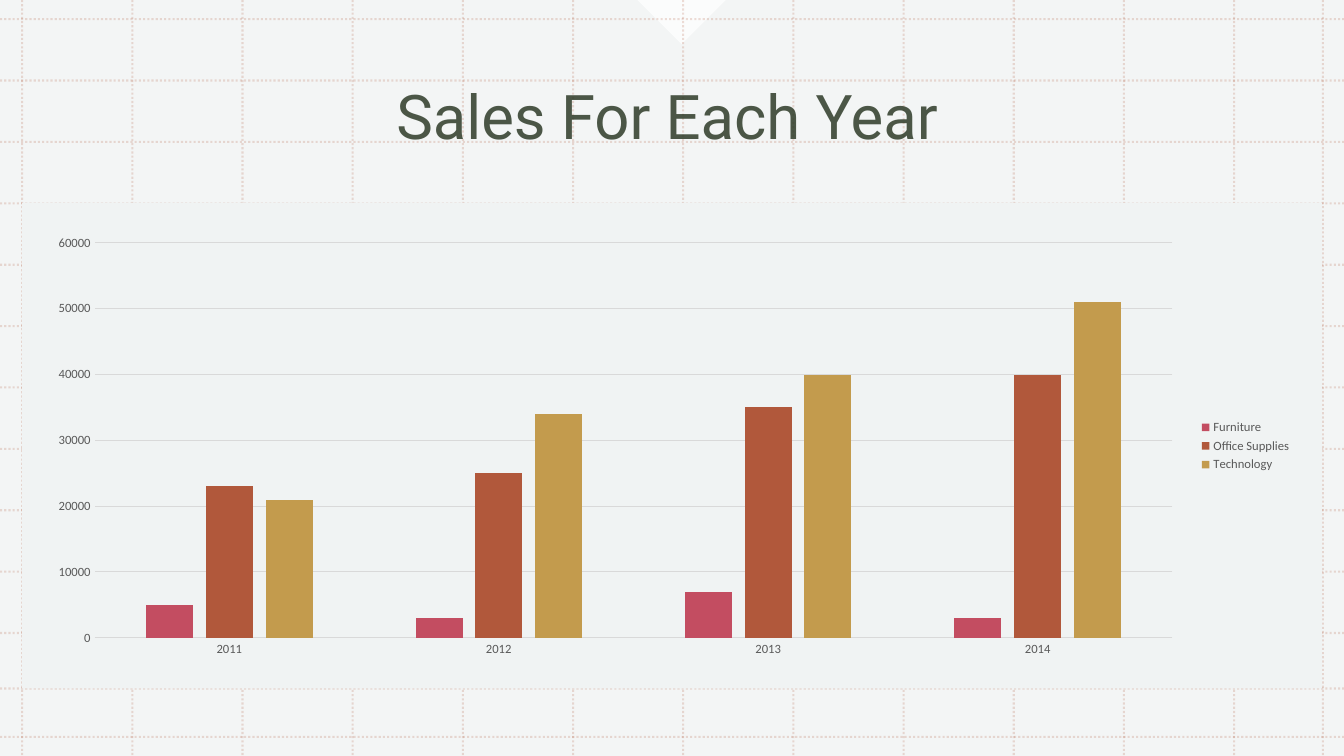
from dataclasses import dataclass

from lxml.etree import SubElement
from pptx import Presentation
from pptx.chart.data import CategoryChartData
from pptx.dml.color import RGBColor
from pptx.enum.chart import XL_CHART_TYPE as ChartType
from pptx.enum.chart import XL_LEGEND_POSITION as LegendPosition
from pptx.enum.chart import XL_TICK_MARK as TickMark
from pptx.enum.dml import MSO_LINE_DASH_STYLE as Dash
from pptx.enum.shapes import MSO_CONNECTOR_TYPE as ConnectorType
from pptx.enum.shapes import MSO_SHAPE as ShapeType
from pptx.enum.text import MSO_ANCHOR as Anchor
from pptx.enum.text import MSO_AUTO_SIZE as AutoSize
from pptx.enum.text import PP_ALIGN as Align
from pptx.oxml.ns import qn
from pptx.util import Inches, Pt

WHITE = RGBColor(0xFF, 0xFF, 0xFF)
MIST = RGBColor(0xF0, 0xF3, 0xF3)
RUST = RGBColor(0xB1, 0x58, 0x3B)
ROSE = RGBColor(0xC3, 0x4D, 0x61)
GOLD = RGBColor(0xC3, 0x9B, 0x4D)
FOREST = RGBColor(0x21, 0x2F, 0x1B)
LABEL_GRAY = RGBColor(0x59, 0x59, 0x59)
LINE_GRAY = RGBColor(0xD9, 0xD9, 0xD9)

SLIDE_WIDTH, SLIDE_HEIGHT = 13.33, 7.5
COLUMN_PITCH = (12.24 - 0.22) / 11
ROW_PITCH = (6.28 - 0.19) / 10
GRID_COLUMNS = [0.22 + COLUMN_PITCH * i for i in range(12)] + [13.12]
GRID_ROWS = [0.19 + ROW_PITCH * i for i in range(11)] + [6.83, 7.31]


@dataclass
class Panel:
    kind: ShapeType
    left: float
    top: float
    width: float
    height: float
    color: RGBColor
    opacity: int = 100
    rotation: float = 0


@dataclass
class SalesSeries:
    name: str
    values: tuple[int, ...]
    color: RGBColor


BACKDROP = (
    Panel(ShapeType.RECTANGLE, 0, 0, 13.35, SLIDE_HEIGHT, WHITE),
    Panel(ShapeType.RECTANGLE, 0, 0, 13.35, SLIDE_HEIGHT, MIST, opacity=80),
    Panel(ShapeType.RIGHT_TRIANGLE, 6.45, -0.31, 0.62, 0.62, WHITE, opacity=75, rotation=315),
)
CHART_PANEL = Panel(ShapeType.RECTANGLE, 0.22, 2.01, 12.89, 4.82, MIST)
YEARS = ("2011", "2012", "2013", "2014")
SALES = (
    SalesSeries("Furniture", (5000, 3000, 7000, 3000), ROSE),
    SalesSeries("Office Supplies", (23000, 25000, 35000, 40000), RUST),
    SalesSeries("Technology", (21000, 34000, 40000, 51000), GOLD),
)


def set_opacity(fill_owner, percent: int) -> None:
    color = next(fill_owner.iter(qn("a:srgbClr")))
    SubElement(color, qn("a:alpha")).set("val", str(percent * 1000))


def add_panel(slide, panel: Panel) -> None:
    shape = slide.shapes.add_shape(
        panel.kind, Inches(panel.left), Inches(panel.top), Inches(panel.width), Inches(panel.height)
    )
    shape.shadow.inherit = False
    shape.fill.solid()
    shape.fill.fore_color.rgb = panel.color
    shape.line.fill.background()
    shape.rotation = panel.rotation
    if panel.opacity < 100:
        set_opacity(shape.fill._xPr, panel.opacity)


def add_grid_line(group, x1: float, y1: float, x2: float, y2: float) -> None:
    connector = group.shapes.add_connector(
        ConnectorType.STRAIGHT, Inches(x1), Inches(y1), Inches(x2), Inches(y2)
    )
    connector.line.color.rgb = RUST
    connector.line.width = Pt(1.5)
    connector.line.dash_style = Dash.ROUND_DOT
    properties = connector._element.spPr
    set_opacity(properties, 20)
    SubElement(properties, qn("a:effectLst"))


def add_grid(slide) -> None:
    group = slide.shapes.add_group_shape()
    for x in GRID_COLUMNS:
        add_grid_line(group, x, 0, x, SLIDE_HEIGHT)
    for y in GRID_ROWS:
        add_grid_line(group, 0, y, SLIDE_WIDTH, y)


def write_text(shape, text: str, *, font: str, size: float, color: RGBColor, opacity: int) -> None:
    frame = shape.text_frame
    frame.word_wrap = True
    frame.auto_size = AutoSize.NONE
    frame.vertical_anchor = Anchor.MIDDLE
    paragraph = frame.paragraphs[0]
    paragraph.alignment = Align.CENTER
    paragraph.line_spacing = 0.9
    run = paragraph.add_run()
    run.text = text
    run.font.name = font
    run.font.size = Pt(size)
    run.font.color.rgb = color
    set_opacity(run._r, opacity)


def place_title(slide, text: str) -> None:
    title = slide.shapes.title
    title.left, title.top = Inches(0.33), Inches(0.37)
    title.width, title.height = Inches(12.58), Inches(1.64)
    write_text(title, text, font="Roboto", size=44, color=FOREST, opacity=80)
    title._element.getparent().append(title._element)


def format_font(font, size: float, color: RGBColor) -> None:
    font.name = "Calibri"
    font.size = Pt(size)
    font.color.rgb = color


def format_line(line) -> None:
    line.color.rgb = LINE_GRAY
    line.width = Pt(0.75)


def add_sales_chart(slide) -> None:
    data = CategoryChartData()
    data.categories = YEARS
    for series in SALES:
        data.add_series(series.name, series.values)
    chart = slide.shapes.add_chart(
        ChartType.COLUMN_CLUSTERED, Inches(0.33), Inches(2.25), Inches(12.58), Inches(4.35), data
    ).chart
    chart.has_title = False
    format_font(chart.font, 10, RGBColor(0, 0, 0))

    chart.has_legend = True
    chart.legend.position = LegendPosition.RIGHT
    chart.legend.include_in_layout = False
    format_font(chart.legend.font, 9, LABEL_GRAY)

    for axis in (chart.category_axis, chart.value_axis):
        axis.major_tick_mark = TickMark.NONE
        axis.minor_tick_mark = TickMark.NONE
        format_font(axis.tick_labels.font, 9, LABEL_GRAY)
    format_line(chart.category_axis.format.line)
    value_axis = chart.value_axis
    value_axis.minimum_scale, value_axis.maximum_scale = 0, 60000
    value_axis.major_unit = 10000
    value_axis.format.line.fill.background()
    format_line(value_axis.major_gridlines.format.line)

    plot = chart.plots[0]
    plot.vary_by_categories = False
    plot.gap_width = 219
    plot.overlap = -27
    for bars, series in zip(plot.series, SALES):
        bars.format.fill.solid()
        bars.format.fill.fore_color.rgb = series.color


def main() -> None:
    presentation = Presentation()
    presentation.slide_width = Inches(SLIDE_WIDTH)
    presentation.slide_height = Inches(SLIDE_HEIGHT)
    slide = presentation.slides.add_slide(presentation.slide_layouts[5])
    for panel in BACKDROP:
        add_panel(slide, panel)
    add_grid(slide)
    add_panel(slide, CHART_PANEL)
    place_title(slide, "Sales For Each Year")
    add_sales_chart(slide)
    presentation.save("out.pptx")


if __name__ == "__main__":
    main()
